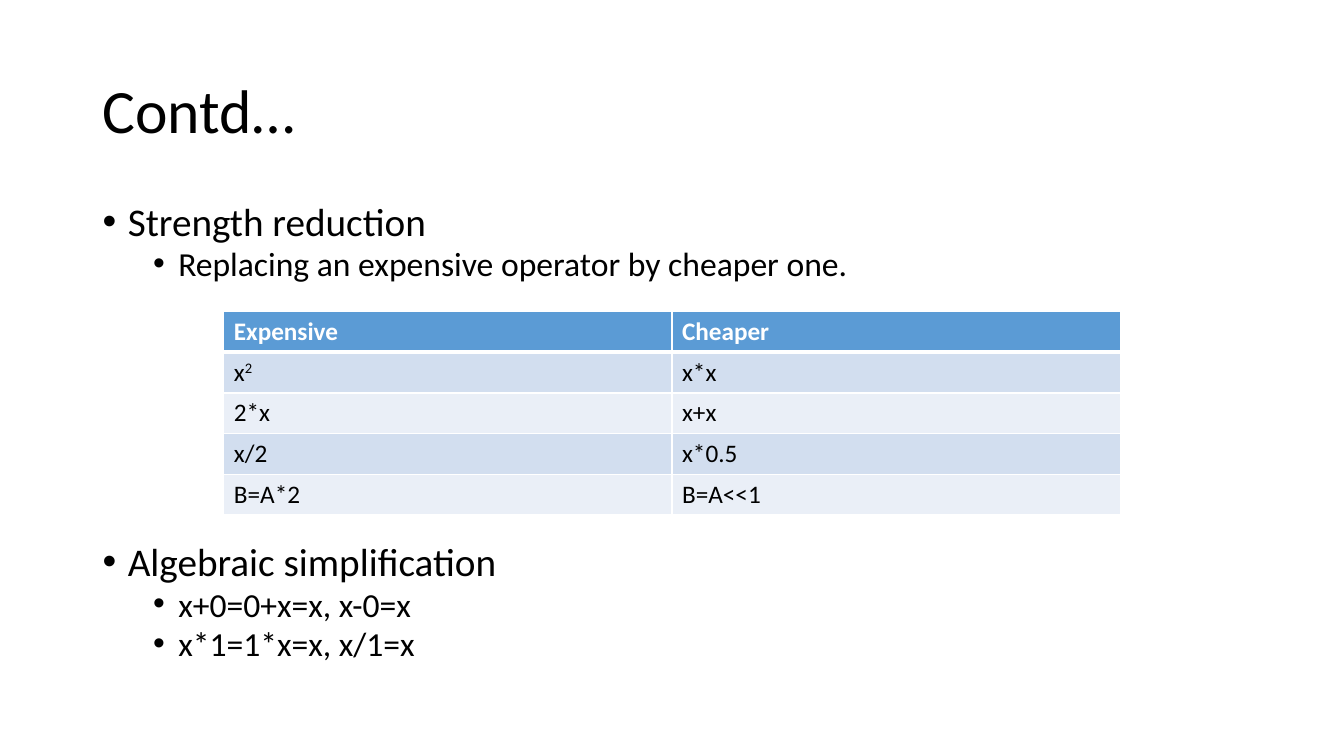
from lxml import etree
from pptx import Presentation
from pptx.dml.color import RGBColor
from pptx.enum import text
from pptx.oxml import ns
from pptx.util import Inches, Pt

BLACK = RGBColor(0, 0, 0)
WHITE = RGBColor(255, 255, 255)
HEADER_BLUE = RGBColor(0x5B, 0x9B, 0xD5)
BAND_DARK = RGBColor(0xD2, 0xDE, 0xEF)
BAND_LIGHT = RGBColor(0xEA, 0xEF, 0xF7)


def set_font(font, **values):
    for key, value in {"name": "Calibri", **values}.items():
        if key == "color":
            font.color.rgb = value
        else:
            setattr(font, key, value)


def add_border(cell, side, points):
    line = etree.SubElement(cell._tc.get_or_add_tcPr(), ns.qn(f"a:{side}"), w=str(Pt(points)))
    fill = etree.SubElement(line, ns.qn("a:solidFill"))
    etree.SubElement(fill, ns.qn("a:srgbClr"), val=str(WHITE))


deck = Presentation()
deck.slide_width = Inches(13.33)
deck.slide_height = Inches(7.5)
slide = deck.slides.add_slide(deck.slide_layouts[6])

title = slide.shapes.add_textbox(Inches(0.92), Inches(0.4), Inches(11.5), Inches(1.45)).text_frame
title.word_wrap = True
title.vertical_anchor = text.MSO_ANCHOR.MIDDLE
title.text = "Contd…"
title.paragraphs[0].line_spacing = 0.9
set_font(title.paragraphs[0].font, size=Pt(44), color=BLACK)

techniques = [
    ("Strength reduction", 0, 0),
    ("Replacing an expensive operator by cheaper one.", 1, 5),
    ("Algebraic simplification", 0, 188),
    ("x+0=0+x=x, x-0=x", 1, 5),
    ("x*1=1*x=x, x/1=x", 1, 5),
]
body = slide.shapes.add_textbox(Inches(0.92), Inches(2), Inches(11.5), Inches(4.76)).text_frame
body.word_wrap = True
for index, (wording, level, space) in enumerate(techniques):
    point = body.add_paragraph() if index else body.paragraphs[0]
    point.text = wording
    point.level = level
    point.line_spacing = 0.8
    point.space_before = Pt(space)
    properties = point._p.get_or_add_pPr()
    properties.set("marL", str(Inches(0.25 + 0.5 * level)))
    properties.set("indent", str(Inches(-0.25)))
    etree.SubElement(properties, ns.qn("a:buFont"), typeface="Arial")
    etree.SubElement(properties, ns.qn("a:buChar"), char="•")
    set_font(point.font, size=Pt(28 - 4 * level), color=BLACK)

operators = [
    ("Expensive", "Cheaper"),
    ("x", "x*x"),
    ("2*x", "x+x"),
    ("x/2", "x*0.5"),
    ("B=A*2", "B=A<<1"),
]
table = slide.shapes.add_table(
    len(operators), 2, Inches(2.22), Inches(3.09), Inches(8.89), Inches(2.02)
).table
for row, pair in enumerate(operators):
    header = row == 0
    for column, operator in enumerate(pair):
        cell = table.cell(row, column)
        cell.text = operator
        for side in ("lnL", "lnR", "lnT", "lnB"):
            heavy = (row, side) in ((0, "lnB"), (1, "lnT"))
            add_border(cell, side, 3 if heavy else 1)
        cell.fill.solid()
        cell.fill.fore_color.rgb = HEADER_BLUE if header else (BAND_LIGHT, BAND_DARK)[row % 2]
        set_font(cell.text_frame.paragraphs[0].runs[0].font,
                 size=Pt(18), bold=header, color=WHITE if header else BLACK)

exponent = table.cell(1, 0).text_frame.paragraphs[0].add_run()
exponent.text = "2"
set_font(exponent.font, size=Pt(18), bold=False, color=BLACK)
exponent.font._element.set("baseline", "30000")

deck.save("out.pptx")
